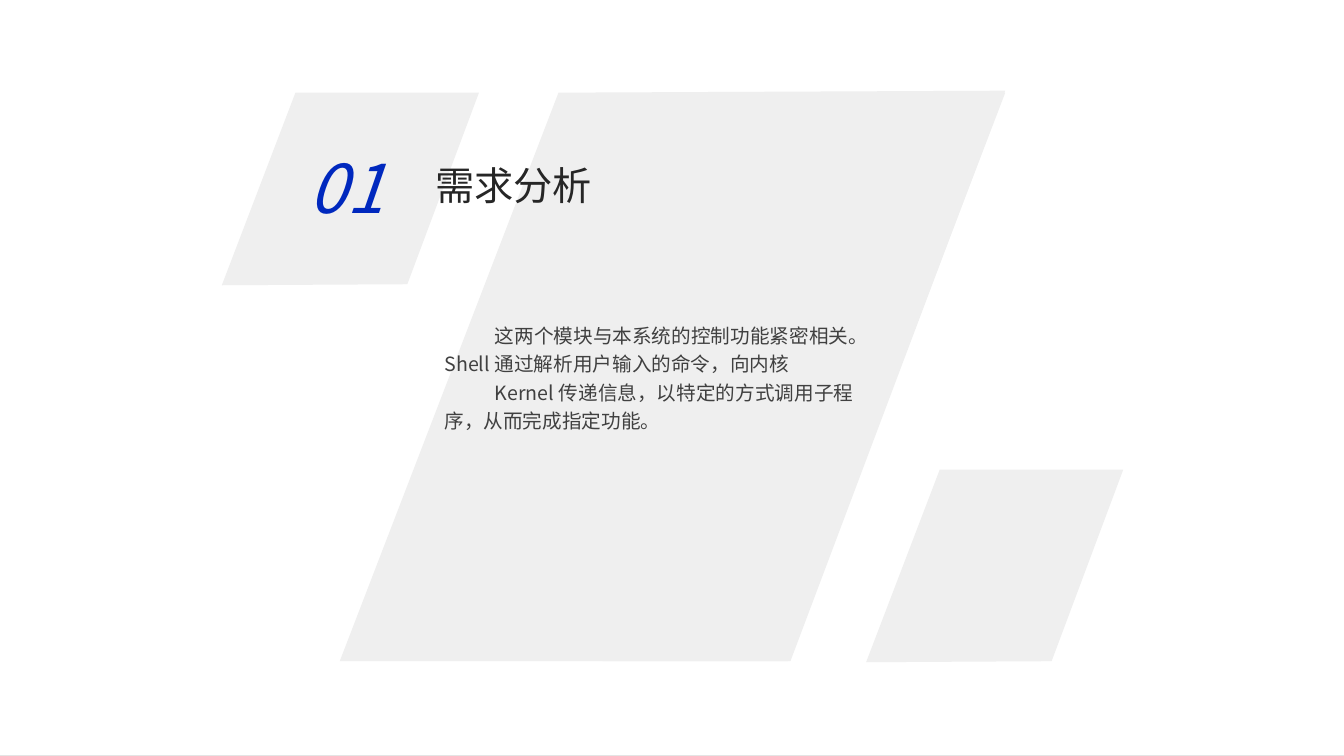
import pptx
import pptx.util
import pptx.dml.color
import pptx.enum.text
import pptx.enum.shapes
import pptx.oxml.ns

# Content
COLORS = {"backdrop": "E4E4E4", "sheet": "FFFFFF", "panel": "EFEFEF",
          "number": "0028BE", "heading": "262626", "body": "404040"}
FONT = "Noto Sans CJK SC"
WIDTH, HEIGHT = 13.33, 7.5

# Slanted panels: corner points in inches
SMALL_PANEL = [(0, 1.91), (0.73, 0), (2.55, 0), (1.84, 1.9)]
PANELS = [
    ((2.2, 0.92), SMALL_PANEL),
    ((8.59, 4.66), SMALL_PANEL),
    ((3.37, 0.9), [(0, 5.66), (2.17, 0.02), (6.6, 0), (4.47, 5.66)]),
    ((5.98, 0.92), [(0, 5.64), (2.18, 0), (3.99, 0), (1.83, 5.64)]),
]

ALIGN = pptx.enum.text.PP_ALIGN
TEXTS = [
    {"lines": ["需求分析"], "box": (4.22, 1.46, 4.56, 0.67), "color": "heading",
     "indent": 0, "font": {"size": pptx.util.Pt(28)},
     "paragraph": {"line_spacing": 1.2}},
    {"lines": ["这两个模块与本系统的控制功能紧密相关。Shell 通过解析用户输入的命令，向内核",
               "Kernel 传递信息，以特定的方式调用子程序，从而完成指定功能。"],
     "box": (4.31, 3.12, 4.4, 1.23), "color": "body",
     "indent": 0.5, "font": {"size": pptx.util.Pt(14)},
     "paragraph": {"line_spacing": 1.2}},
    {"lines": ["01"], "box": (2.82, 1.4, 1.23, 0.91), "color": "number",
     "indent": 0, "font": {"size": pptx.util.Pt(48), "italic": True},
     "paragraph": {"alignment": ALIGN.CENTER}},
]


def rgb(name):
    return pptx.dml.color.RGBColor.from_string(COLORS[name])


def inches(values):
    return [pptx.util.Inches(value) for value in values]


def paint(shape, color):
    shape.shadow.inherit = False
    shape.fill.solid()
    shape.fill.fore_color.rgb = rgb(color)
    shape.line.fill.background()


def add_panel(slide, origin, corners):
    points = [inches((origin[0] + x, origin[1] + y)) for x, y in corners]
    outline = slide.shapes.build_freeform(*points[0], scale=1.0)
    outline.add_line_segments(points[1:], close=True)
    paint(outline.convert_to_shape(), "panel")


def add_text(slide, text):
    frame = slide.shapes.add_textbox(*inches(text["box"])).text_frame
    frame.word_wrap = True
    frame.auto_size = pptx.enum.text.MSO_AUTO_SIZE.SHAPE_TO_FIT_TEXT
    for index, line in enumerate(text["lines"]):
        paragraph = frame.add_paragraph() if index else frame.paragraphs[0]
        for key, value in text["paragraph"].items():
            setattr(paragraph, key, value)
        if text["indent"]:
            properties = paragraph._p.get_or_add_pPr()
            properties.set("indent", str(pptx.util.Inches(text["indent"])))
        run = paragraph.add_run()
        run.text = line
        for key, value in {"name": FONT, **text["font"]}.items():
            setattr(run.font, key, value)
        run.font.color.rgb = rgb(text["color"])
        # East Asian glyphs take the same typeface
        east_asian = pptx.oxml.ns.qn("a:ea")
        latin = run._r.get_or_add_rPr().find(pptx.oxml.ns.qn("a:latin"))
        latin.addnext(latin.makeelement(east_asian, {"typeface": FONT}))


def main():
    deck = pptx.Presentation()
    deck.slide_width, deck.slide_height = inches((WIDTH, HEIGHT))
    slide = deck.slides.add_slide(deck.slide_layouts[6])

    # Backdrop and the white sheet over it
    slide.background.fill.solid()
    slide.background.fill.fore_color.rgb = rgb("backdrop")
    sheet = slide.shapes.add_shape(pptx.enum.shapes.MSO_SHAPE.RECTANGLE,
                                   *inches((-0.01, -0.01, WIDTH + 0.01, HEIGHT)))
    paint(sheet, "sheet")

    # Panels, then the wording on them
    for origin, corners in PANELS:
        add_panel(slide, origin, corners)
    for text in TEXTS:
        add_text(slide, text)

    deck.save("out.pptx")


if __name__ == "__main__":
    main()
